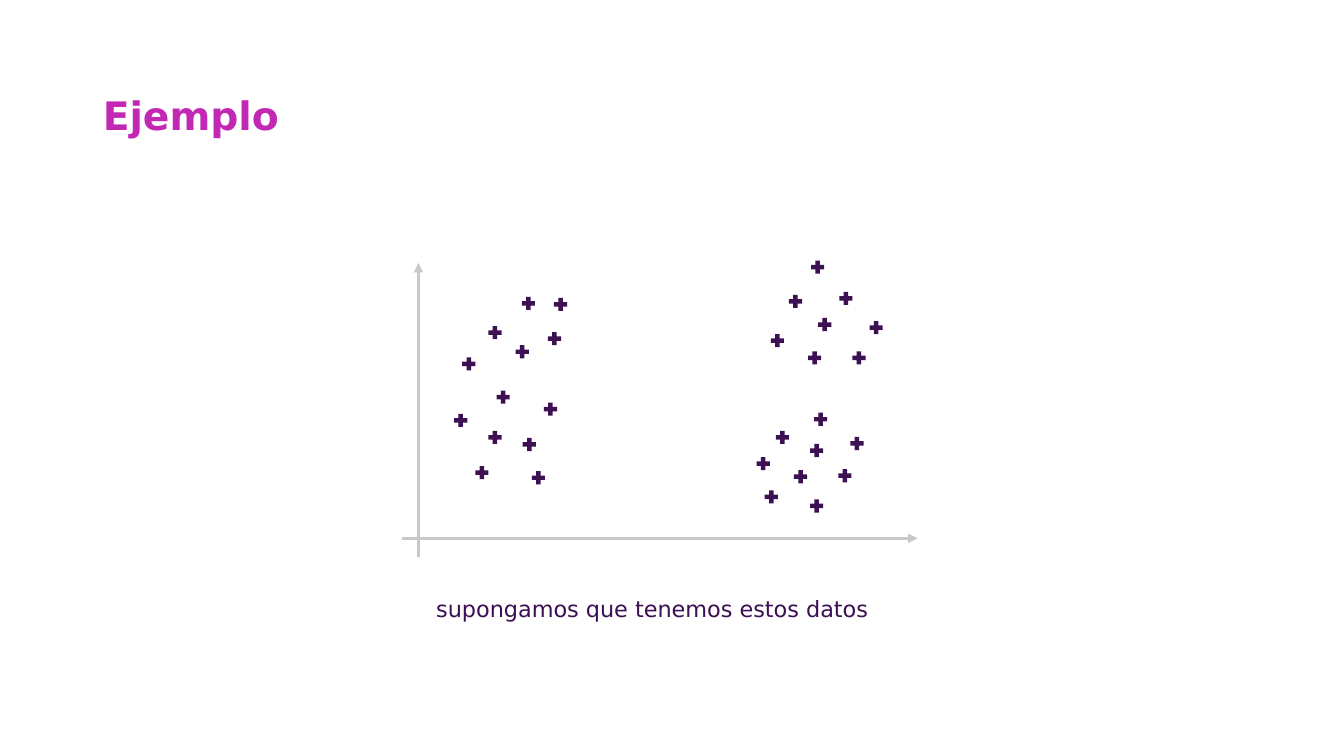
from pptx import Presentation
from pptx.dml.color import RGBColor
from pptx.enum.shapes import MSO_CONNECTOR, MSO_SHAPE
from pptx.enum.text import MSO_ANCHOR, MSO_AUTO_SIZE, PP_ALIGN
from pptx.oxml.ns import qn
from pptx.util import Inches, Pt
from lxml.etree import SubElement

# Content
TITLE = "Ejemplo"
CAPTION = "supongamos que tenemos estos datos"

# Data points: inches right of and above the origin of the axes
CLUSTERS = {
    "left": [(0.42, 1.17), (1.31, 1.28), (0.76, 1.00), (1.19, 0.60), (0.63, 0.65),
             (0.84, 1.40), (1.10, 0.93), (0.50, 1.73), (1.03, 1.85), (0.76, 2.04),
             (1.35, 1.98), (1.41, 2.32), (1.09, 2.33)],
    "upper right": [(3.96, 2.69), (4.24, 2.38), (3.74, 2.35), (4.03, 2.12),
                    (4.54, 2.09), (3.93, 1.79), (4.37, 1.79), (3.56, 1.96)],
    "lower right": [(3.42, 0.74), (3.61, 1.00), (3.79, 0.61), (3.50, 0.41),
                    (3.95, 0.32), (4.23, 0.62), (3.95, 0.87), (4.35, 0.94),
                    (3.99, 1.18)],
}
AXES = [((0, -0.19), (0, 2.73)), ((-0.16, 0), (4.95, 0))]

# Style and layout, in inches
COLORS = {"title": "C228B4", "caption": "3C0F53", "marker": "3C1053", "axis": "C8C9C7"}
FONT = "DejaVu Sans"
WIDTH, HEIGHT = 13.33, 7.5
ORIGIN = (4.15, 5.34)
MARKER_SIZE = 0.13
TITLE_BOX = (0.92, 0.71, 11.5, 0.91)
CAPTION_BOX = (3.65, 5.86, 5.64, 0.37)


def color(name):
    return RGBColor.from_string(COLORS[name])


def plot(x, y):
    """Turn axis coordinates into a place on the slide."""
    return ORIGIN[0] + x, ORIGIN[1] - y


def write(shape, text, *, size, fill, bold=False, align=PP_ALIGN.LEFT,
          anchor=MSO_ANCHOR.TOP, spacing=1.0, margins=(0.1, 0.05)):
    frame = shape.text_frame
    frame.word_wrap = True
    frame.auto_size = MSO_AUTO_SIZE.NONE
    frame.vertical_anchor = anchor
    frame.margin_left = frame.margin_right = Inches(margins[0])
    frame.margin_top = frame.margin_bottom = Inches(margins[1])
    paragraph = frame.paragraphs[0]
    paragraph.alignment = align
    paragraph.line_spacing = spacing
    run = paragraph.add_run()
    run.text = text
    run.font.name = FONT
    run.font.size = Pt(size)
    run.font.bold = bold
    run.font.color.rgb = color(fill)


def add_axis(slide, start, end):
    ends = [Inches(value) for value in plot(*start) + plot(*end)]
    axis = slide.shapes.add_connector(MSO_CONNECTOR.STRAIGHT, *ends)
    axis.line.color.rgb = color("axis")
    axis.line.width = Pt(2.25)
    SubElement(axis.line._get_or_add_ln(), qn("a:tailEnd"), type="triangle")
    SubElement(axis._element.spPr, qn("a:effectLst"))


def add_marker(slide, x, y):
    left, top = (Inches(value - MARKER_SIZE / 2) for value in plot(x, y))
    marker = slide.shapes.add_shape(MSO_SHAPE.CROSS, left, top,
                                    Inches(MARKER_SIZE), Inches(MARKER_SIZE))
    marker.adjustments[0] = 0.33
    marker.shadow.inherit = False
    marker.fill.solid()
    marker.fill.fore_color.rgb = color("marker")
    marker.line.fill.background()


def main():
    presentation = Presentation()
    presentation.slide_width, presentation.slide_height = Inches(WIDTH), Inches(HEIGHT)
    slide = presentation.slides.add_slide(presentation.slide_layouts.get_by_name("Title Only"))

    # Title
    title = slide.shapes.title
    title.left, title.top, title.width, title.height = map(Inches, TITLE_BOX)
    write(title, TITLE, size=28, fill="title", bold=True,
          anchor=MSO_ANCHOR.MIDDLE, spacing=0.9)

    # Scatter diagram
    for start, end in AXES:
        add_axis(slide, start, end)
    for points in CLUSTERS.values():
        for x, y in points:
            add_marker(slide, x, y)

    # Caption
    caption = slide.shapes.add_textbox(*map(Inches, CAPTION_BOX))
    write(caption, CAPTION, size=16, fill="caption", align=PP_ALIGN.CENTER,
          margins=(0.05, 0.05))

    presentation.save("out.pptx")


if __name__ == "__main__":
    main()
